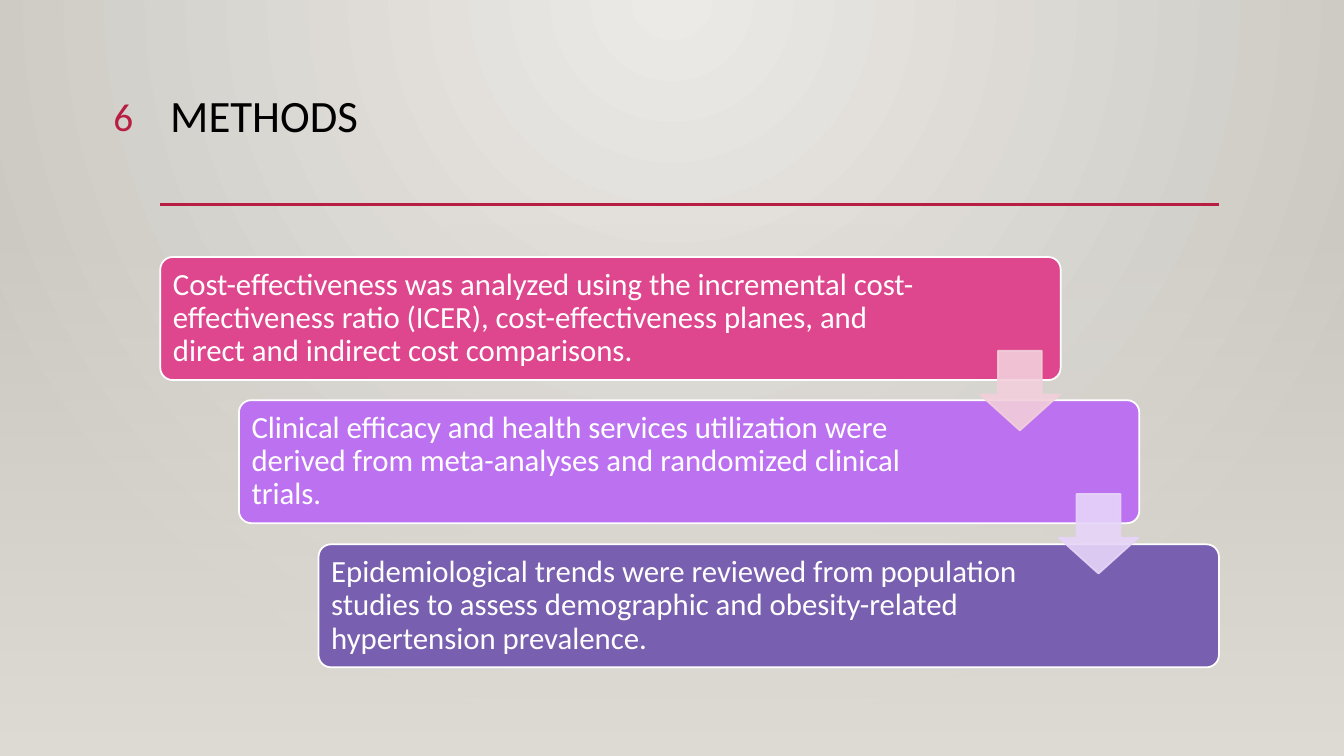
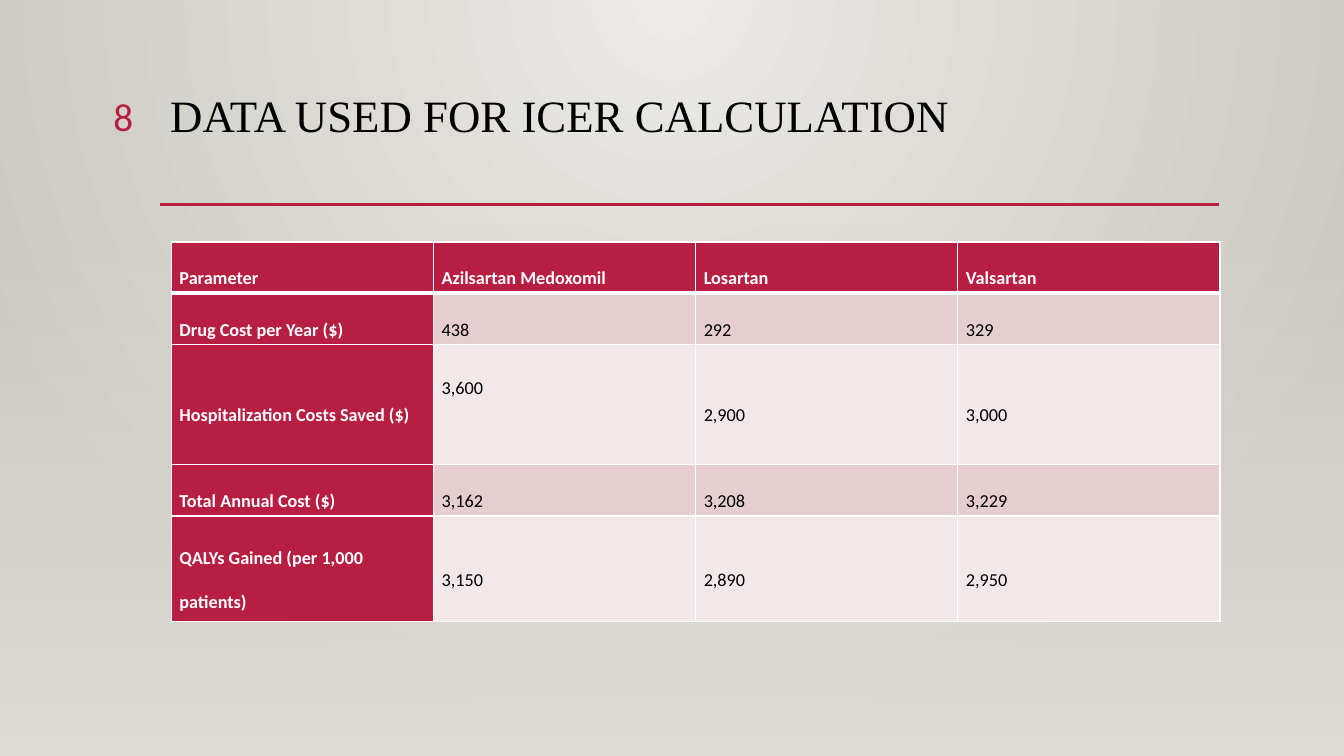
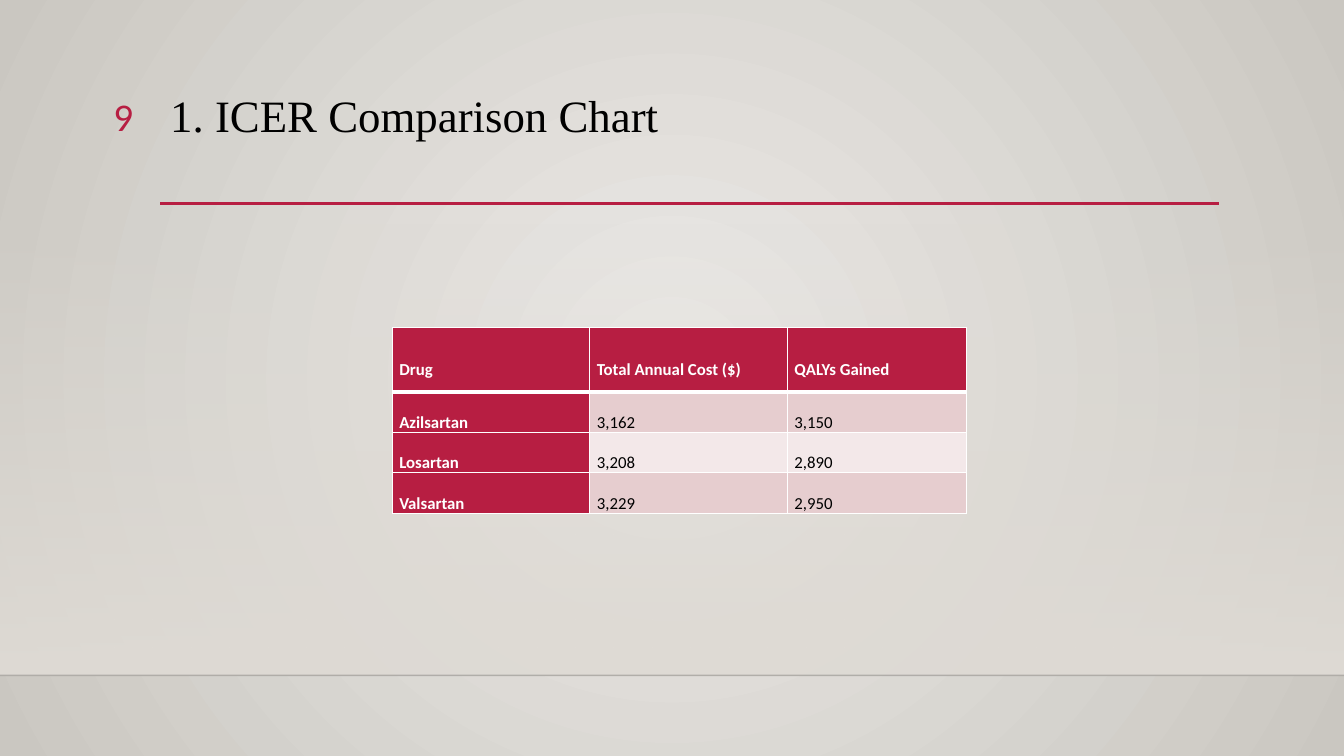
from lxml import etree
from pptx import Presentation
from pptx.dml.color import RGBColor
from pptx.enum.shapes import MSO_CONNECTOR, MSO_SHAPE
from pptx.enum.text import MSO_ANCHOR, PP_ALIGN
from pptx.oxml.ns import qn
from pptx.util import Inches, Pt

RECTANGLE = MSO_SHAPE.RECTANGLE
ROUNDED = MSO_SHAPE.ROUNDED_RECTANGLE
DOWN_ARROW = MSO_SHAPE.DOWN_ARROW
STRAIGHT = MSO_CONNECTOR.STRAIGHT
MIDDLE = MSO_ANCHOR.MIDDLE
LEFT, RIGHT = PP_ALIGN.LEFT, PP_ALIGN.RIGHT
rgb = RGBColor.from_string

SANS, SERIF = "Calibri", "Times New Roman"
CRIMSON, WHITE, BLACK = "B71E42", "FFFFFF", "000000"
ROW_TINTS = ["F3E8E9", "E6CDCF"]
BACKDROP = [(0, "ECEAE7", 100), (100, "CAC7C1", 100)]
FADE = [(0, "DFDBD5", 0), (100, "DFDBD5", 100)]
WIDTH, HEIGHT, BAND_TOP, FLOOR = 13.33, 7.5, 2.21, 6.7


def set_gradient(host, stops, focus=None):
    host.fill.gradient()
    gradient = next(host.element.iter(qn("a:gradFill")))
    for child in list(gradient):
        gradient.remove(child)
    stop_list = etree.SubElement(gradient, qn("a:gsLst"))
    for position, colour, opacity in stops:
        stop = etree.SubElement(stop_list, qn("a:gs"), pos=str(position * 1000))
        tone = etree.SubElement(stop, qn("a:srgbClr"), val=colour)
        etree.SubElement(tone, qn("a:alpha"), val=str(opacity * 1000))
    if focus:
        shade = etree.SubElement(gradient, qn("a:path"), path="circle")
        edges = {side: str(share * 1000) for side, share in zip("ltrb", focus)}
        etree.SubElement(shade, qn("a:fillToRect"), **edges)
    else:
        etree.SubElement(gradient, qn("a:lin"), ang="5400000", scaled="0")


def write_text(frame, text, size, colour, font=SANS, spacing=1.0, align=LEFT, bold=False):
    frame.word_wrap = True
    para = frame.paragraphs[0]
    para.text = text
    para.alignment = align
    para.line_spacing = spacing
    para.font.size = Pt(size)
    para.font.name = font
    para.font.bold = bold
    para.font.color.rgb = rgb(colour)


deck = Presentation()
deck.slide_width, deck.slide_height = Inches(WIDTH), Inches(HEIGHT)

TOP_GLOW, CENTRE_GLOW = (43, 0, 43, 100), (50, 50, 50, 50)
page_styles = [
    ("6", "METHODS", SANS, TOP_GLOW, HEIGHT, 2.03),
    ("8", "DATA USED FOR ICER CALCULATION", SERIF, TOP_GLOW, HEIGHT, 2.03),
    ("9", "1. ICER Comparison Chart", SERIF, CENTRE_GLOW, FLOOR, 2.02),
]
pages = []
for number, title, font, glow, band_bottom, rule_y in page_styles:
    page = deck.slides.add_slide(deck.slide_layouts[6])
    pages.append(page)
    set_gradient(page.background, BACKDROP, glow)

    band = page.shapes.add_shape(
        RECTANGLE, 0, Inches(BAND_TOP), Inches(WIDTH), Inches(band_bottom - BAND_TOP))
    band.shadow.inherit = False
    band.line.fill.background()
    set_gradient(band, FADE)

    lines = [(1.59, 12.09, rule_y, CRIMSON, 2.5, 100)]
    if band_bottom == FLOOR:
        lines.append((0, WIDTH, FLOOR, BLACK, 1, 20))
    for start, end, y, colour, weight, opacity in lines:
        rule = page.shapes.add_connector(
            STRAIGHT, Inches(start), Inches(y), Inches(end), Inches(y))
        rule.line.color.rgb = rgb(colour)
        rule.line.width = Pt(weight)
        for tone in rule.element.iter(qn("a:srgbClr")):
            etree.SubElement(tone, qn("a:alpha"), val=str(opacity * 1000))
        etree.SubElement(rule.element.spPr, qn("a:effectLst"))

    title_box = page.shapes.add_textbox(Inches(1.59), Inches(0.88), Inches(10.5), Inches(1.15))
    write_text(title_box.text_frame, title, 32, BLACK, font, 0.9)
    number_box = page.shapes.add_textbox(Inches(0.53), Inches(0.87), Inches(0.89), Inches(0.55))
    write_text(number_box.text_frame, number, 28, CRIMSON, align=RIGHT)

steps = [
    ("Cost-effectiveness was analyzed using the incremental cost-effectiveness ratio (ICER), "
     "cost-effectiveness planes, and direct and indirect cost comparisons.",
     1.59, 2.55, 1.34, "DE478E", "F2CFDB"),
    ("Clinical efficacy and health services utilization were derived from meta-analyses "
     "and randomized clinical trials.",
     2.37, 3.97, 1.67, "BC72F0", "E7D5F9"),
    ("Epidemiological trends were reviewed from population studies to assess demographic "
     "and obesity-related hypertension prevalence.",
     3.16, 5.4, 1.67, "795FAF", None),
]
methods = pages[0]
for text, left, top, right_margin, colour, arrow_colour in steps:
    card = methods.shapes.add_shape(
        ROUNDED, Inches(left), Inches(top), Inches(8.93), Inches(1.22))
    card.adjustments[0] = 0.1
    card.shadow.inherit = False
    card.fill.solid()
    card.fill.fore_color.rgb = rgb(colour)
    card.line.color.rgb = rgb(WHITE)
    card.line.width = Pt(1.25)
    frame = card.text_frame
    frame.margin_left, frame.margin_right = Inches(0.09), Inches(right_margin)
    frame.vertical_anchor = MIDDLE
    write_text(frame, text, 22, WHITE, spacing=0.9)

for text, left, top, right_margin, colour, arrow_colour in steps[:-1]:
    arrow = methods.shapes.add_shape(
        DOWN_ARROW, Inches(left + 8.13), Inches(top + 0.93), Inches(0.79), Inches(0.79))
    arrow.adjustments[0], arrow.adjustments[1] = 0.55, 0.45
    arrow.shadow.inherit = False
    arrow.fill.solid()
    arrow.fill.fore_color.rgb = rgb(arrow_colour)
    arrow.line.color.rgb = rgb(arrow_colour)
    arrow.line.width = Pt(1.25)
    for tone in arrow.element.iter(qn("a:srgbClr")):
        etree.SubElement(tone, qn("a:alpha"), val="90000")

cost_rows = [
    ["Parameter", "Azilsartan Medoxomil", "Losartan", "Valsartan"],
    ["Drug Cost per Year ($)", "438", "292", "329"],
    ["Hospitalization Costs Saved ($)", "3,600", "2,900", "3,000"],
    ["Total Annual Cost ($)", "3,162", "3,208", "3,229"],
    ["QALYs Gained (per 1,000 patients)", "3,150", "2,890", "2,950"],
]
drug_rows = [
    ["Drug", "Total Annual Cost ($)", "QALYs Gained"],
    ["Azilsartan", "3,162", "3,150"],
    ["Losartan", "3,208", "2,890"],
    ["Valsartan", "3,229", "2,950"],
]
table_plans = [
    (pages[1], cost_rows, 1.7, 2.4, [2.6] * 4, [0.51, 0.51, 1.19, 0.51, 1.05], 13, 0.08),
    (pages[2], drug_rows, 3.89, 3.25, [1.96, 1.96, 1.78], [0.64, 0.32, 0.32, 0.3], 12, 0.07),
]
tables = []
for page, rows, left, top, widths, heights, size, margin in table_plans:
    table = page.shapes.add_table(
        len(rows), len(widths), Inches(left), Inches(top),
        Inches(sum(widths)), Inches(sum(heights))).table
    tables.append(table)
    for column, width in zip(table.columns, widths):
        column.width = Inches(width)
    for row, height in zip(table.rows, heights):
        row.height = Inches(height)
    for r, row in enumerate(rows):
        for c, text in enumerate(row):
            cell = table.cell(r, c)
            heading = r == 0 or c == 0
            cell.margin_left = cell.margin_right = Inches(margin)
            cell.margin_top = cell.margin_bottom = 0
            cell.vertical_anchor = MIDDLE
            write_text(cell.text_frame, text, size, WHITE if heading else BLACK,
                       spacing=2.0, bold=heading)
            cell.text_frame.paragraphs[0].space_after = Pt(8)
            properties = cell._tc.get_or_add_tcPr()
            for side in "LRTB":
                thick = (r, side) in [(0, "B"), (1, "T")]
                border = etree.SubElement(
                    properties, qn("a:ln" + side), w=str(Pt(3 if thick else 1)))
                solid = etree.SubElement(border, qn("a:solidFill"))
                etree.SubElement(solid, qn("a:srgbClr"), val=WHITE)
            cell.fill.solid()
            cell.fill.fore_color.rgb = rgb(CRIMSON if heading else ROW_TINTS[r % 2])

tables[0].cell(2, 1).margin_bottom = Inches(0.55)

deck.save("out.pptx")
